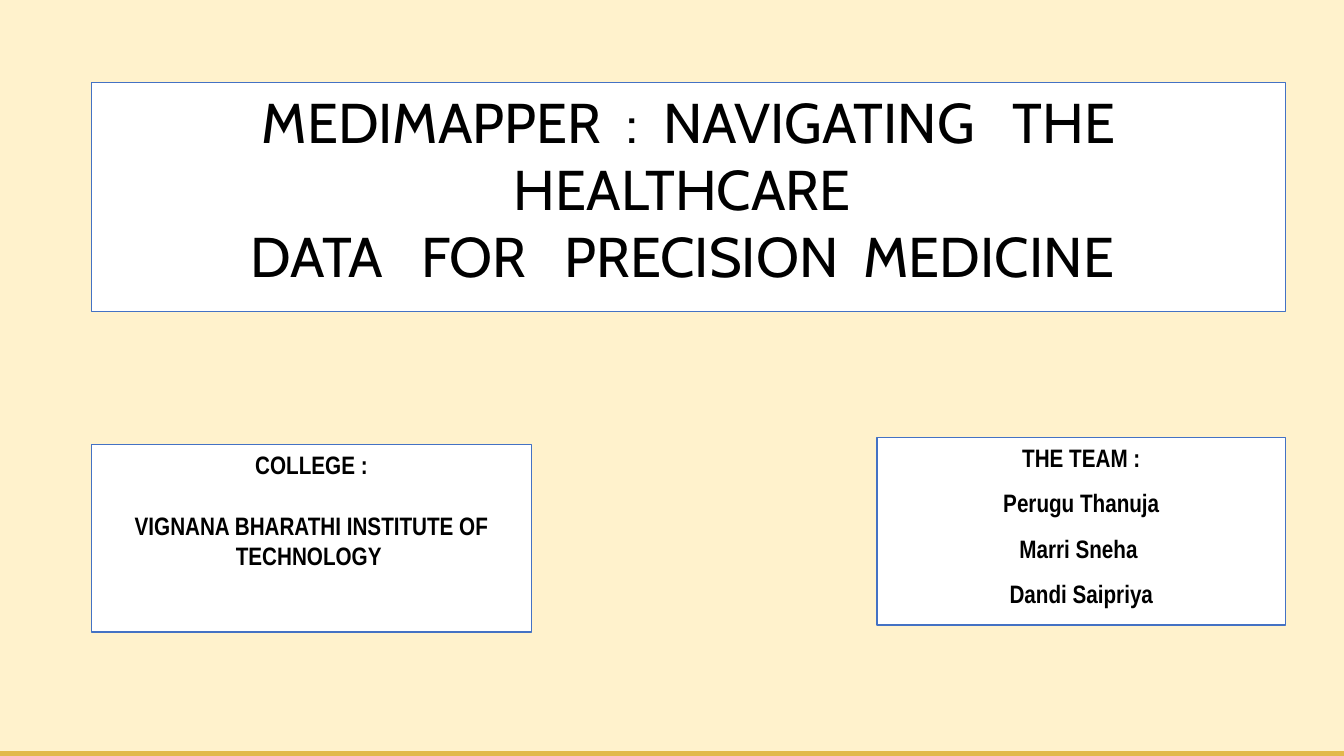
from pptx import Presentation
from pptx.dml.color import RGBColor
from pptx.enum.shapes import MSO_SHAPE as Shape
from pptx.enum.text import MSO_ANCHOR as Anchor, PP_ALIGN as Align
from pptx.util import Inches, Pt

COLORS = {"cream": "FFF2CC", "gold": "E2B94B", "white": "FFFFFF",
          "blue": "4472C4", "black": "000000"}

deck = Presentation()
deck.slide_width, deck.slide_height = Inches(13.33), Inches(7.5)
slide = deck.slides.add_slide(deck.slide_layouts[6])


def add_box(left, top, width, height, fill, line=None):
    box = slide.shapes.add_shape(Shape.RECTANGLE, Inches(left), Inches(top),
                                 Inches(width), Inches(height))
    box.shadow.inherit = False
    box.fill.solid()
    box.fill.fore_color.rgb = RGBColor.from_string(COLORS[fill])
    if line:
        box.line.color.rgb = RGBColor.from_string(COLORS[line])
        box.line.width = Pt(1)
    else:
        box.line.fill.background()
    box.text_frame.word_wrap = True
    box.text_frame.vertical_anchor = Anchor.TOP
    return box


def add_run(para, text, font, size, bold=False):
    run = para.add_run()
    run.text = text
    run.font.name, run.font.size, run.font.bold = font, Pt(size), bold
    run.font.color.rgb = RGBColor.from_string(COLORS["black"])
    return run


# Background with a thin gold edge along the bottom
add_box(0, 7.4, 13.33, 0.1, "gold")
add_box(0, -0.05, 13.33, 7.5, "cream")

# Title: each word with the extra width, in points, of the space after it
title = add_box(0.91, 0.82, 11.84, 2.27, "white", "blue").text_frame
lines = [
    [("MEDIMAPPER", 9), (":", 9), ("NAVIGATING", 18), ("THE", 9), ("HEALTHCARE", 0)],
    [("DATA", 18), ("FOR", 18), ("PRECISION", 9), ("MEDICINE", 0)],
]
for i, words in enumerate(lines):
    para = title.add_paragraph() if i else title.paragraphs[0]
    para.alignment = Align.CENTER
    for word, extra in words:
        add_run(para, word, "Cabin", 40)
        gap = add_run(para, " ", "Cabin", 40)
        if extra:
            gap.font._element.set("spc", str(extra * 100))

# Cards: place, then each line with its line spacing and space before
cards = [
    ((8.7, 4.34, 4.05, 1.86), [
        ("THE TEAM :", 1, 0), (" Perugu Thanuja ", 1.5, 0),
        ("Marri Sneha ", 1.5, 0), ("Dandi Saipriya", 1.5, 0)]),
    ((0.91, 4.41, 4.36, 1.86), [
        ("COLLEGE :", 1, 0),
        ("VIGNANA BHARATHI INSTITUTE OF TECHNOLOGY ", 1, 21.8)]),
]
for place, rows in cards:
    frame = add_box(*place, "white", "blue").text_frame
    for i, (text, spacing, before) in enumerate(rows):
        para = frame.add_paragraph() if i else frame.paragraphs[0]
        para.alignment = Align.CENTER
        para.line_spacing = float(spacing)
        para.space_before = Pt(before)
        add_run(para, text, "Arial Narrow", 18, True)

deck.save("out.pptx")
